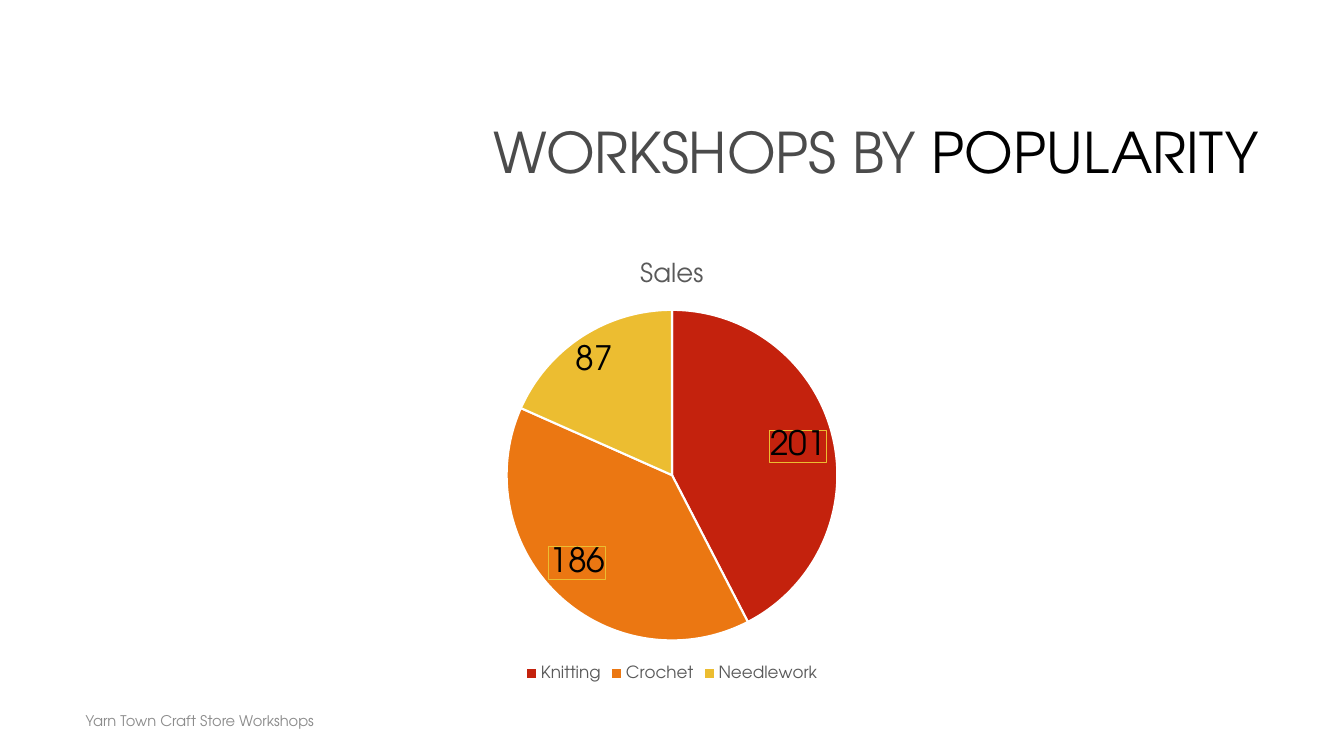
import pptx
import pptx.chart.data
import pptx.dml.color
import pptx.enum.chart
import pptx.enum.text
import pptx.util
import lxml.etree

FONT = "TeX Gyre Adventor"
WHITE = pptx.dml.color.RGBColor(0xFF, 0xFF, 0xFF)
BLACK = pptx.dml.color.RGBColor(0x00, 0x00, 0x00)
DARK = pptx.dml.color.RGBColor(0x4B, 0x4B, 0x4B)
GREY = pptx.dml.color.RGBColor(0x59, 0x59, 0x59)
PALE = pptx.dml.color.RGBColor(0x8C, 0x8C, 0x8C)
RED = pptx.dml.color.RGBColor(0xC4, 0x22, 0x0D)
ORANGE = pptx.dml.color.RGBColor(0xEB, 0x77, 0x12)
YELLOW = pptx.dml.color.RGBColor(0xEC, 0xBD, 0x31)

WORKSHOPS = [("Knitting", 201, RED), ("Crochet", 186, ORANGE), ("Needlework", 87, YELLOW)]
BOXED_LABELS = 2


def style(font, size, color):
    font.name, font.size, font.bold = FONT, pptx.util.Pt(size), False
    font.color.rgb = color


def add_text(p, text, size=12, color=BLACK):
    r = p.add_run()
    r.text = text
    style(r.font, size, color)


prs = pptx.Presentation()
prs.slide_width, prs.slide_height = pptx.util.Inches(13.33), pptx.util.Inches(7.5)
W, H = prs.slide_width, prs.slide_height
MARGIN = pptx.util.Inches(0.75)
s = prs.slides.add_slide(prs.slide_layouts[5])
s.background.fill.solid()
s.background.fill.fore_color.rgb = WHITE

# Title
sp = s.shapes.title
sp.left, sp.top = pptx.util.Inches(3.17), pptx.util.Inches(0.84)
sp.width, sp.height = W - MARGIN - sp.left, pptx.util.Inches(1.41)
tf = sp.text_frame
tf.word_wrap = True
tf.vertical_anchor = pptx.enum.text.MSO_ANCHOR.MIDDLE
p = tf.paragraphs[0]
p.alignment = pptx.enum.text.PP_ALIGN.RIGHT
p.line_spacing = 0.9
add_text(p, "WORKSHOPS BY ", size=40, color=DARK)
add_text(p, "POPULARITY", size=40)

# Pie chart
names, sales, colors = zip(*WORKSHOPS)
data = pptx.chart.data.CategoryChartData()
data.categories = names
data.add_series("Sales", sales)
chart = s.shapes.add_chart(
    pptx.enum.chart.XL_CHART_TYPE.PIE, MARGIN, pptx.util.Inches(2.4),
    W - 2 * MARGIN, pptx.util.Inches(4.4), data).chart
style(chart.font, 10, BLACK)
chart.has_title = True
add_text(chart.chart_title.text_frame.paragraphs[0], "Sales", size=18.6, color=GREY)
chart.has_legend = True
chart.legend.position = pptx.enum.chart.XL_LEGEND_POSITION.BOTTOM
chart.legend.include_in_layout = False
style(chart.legend.font, 12, GREY)

# Value labels
plot = chart.plots[0]
plot.vary_by_categories = True
series = plot.series[0]
best_fit = pptx.enum.chart.XL_LABEL_POSITION.BEST_FIT
labels = series.data_labels
labels.show_value = True
labels.show_percentage = False
labels.position = best_fit
style(labels.font, 24, BLACK)

# Slices, the largest ones with a boxed label
for i, color in enumerate(colors):
    point = series.points[i]
    point.format.fill.solid()
    point.format.fill.fore_color.rgb = color
    point.format.line.color.rgb = WHITE
    point.format.line.width = pptx.util.Pt(1.5)
    if i < BOXED_LABELS:
        style(point.data_label.font, 24, BLACK)
        point.data_label.position = best_fit

BOX = (
    '<c:spPr xmlns:c="http://schemas.openxmlformats.org/drawingml/2006/chart"'
    ' xmlns:a="http://schemas.openxmlformats.org/drawingml/2006/main"><a:noFill/>'
    f'<a:ln w="9525"><a:solidFill><a:srgbClr val="{YELLOW}"/></a:solidFill></a:ln></c:spPr>')
for txpr in series._element.xpath(".//c:dLbl/c:txPr"):
    for old in txpr.getparent().xpath("c:spPr"):
        txpr.getparent().remove(old)
    txpr.addprevious(lxml.etree.fromstring(BOX))

# Footer
sp = s.shapes.add_textbox(MARGIN, pptx.util.Inches(6.95), pptx.util.Inches(8.5), pptx.util.Inches(0.4))
tf = sp.text_frame
tf.word_wrap = True
tf.vertical_anchor = pptx.enum.text.MSO_ANCHOR.MIDDLE
add_text(tf.paragraphs[0], "Yarn Town Craft Store Workshops", size=10.5, color=PALE)

prs.save("out.pptx")
